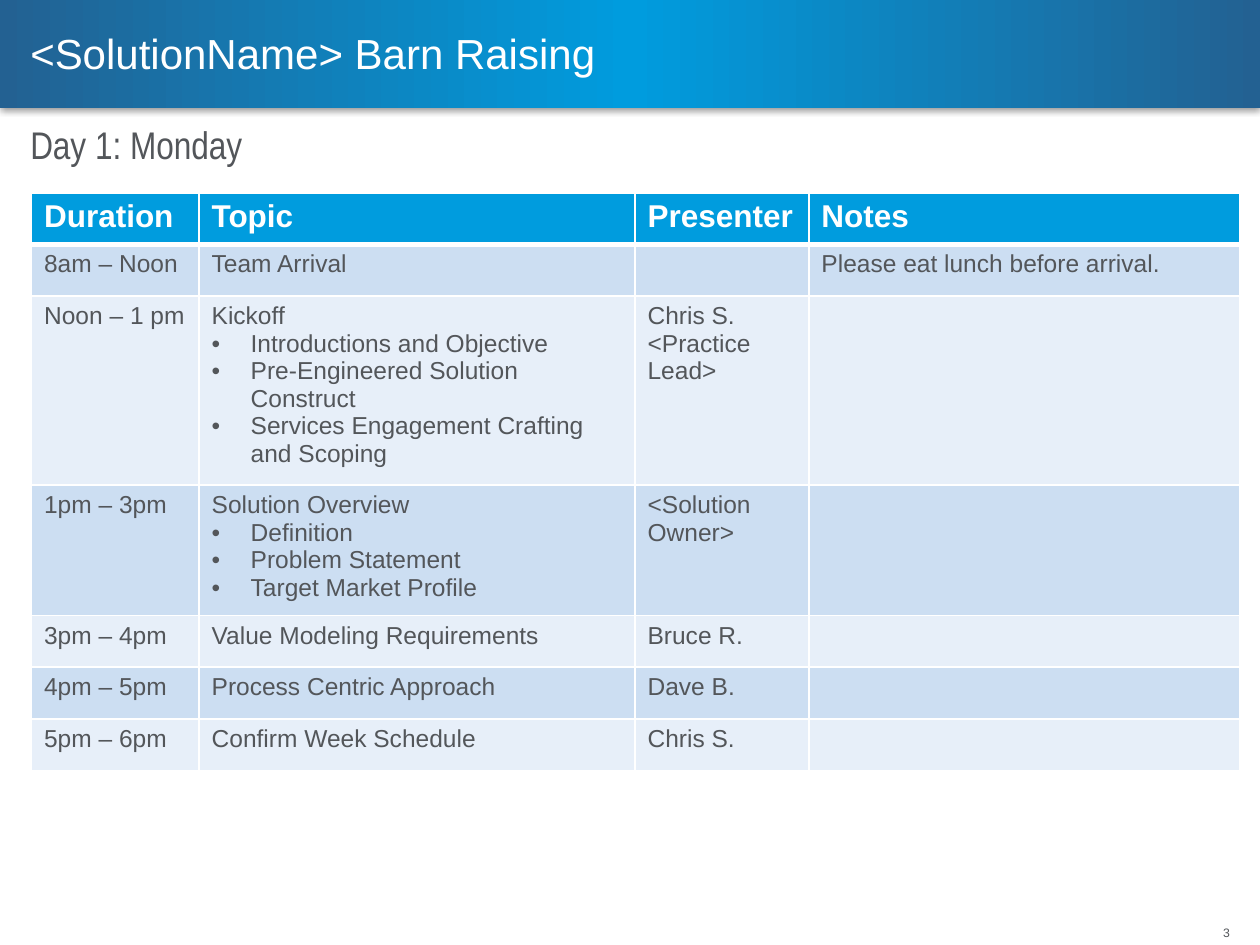
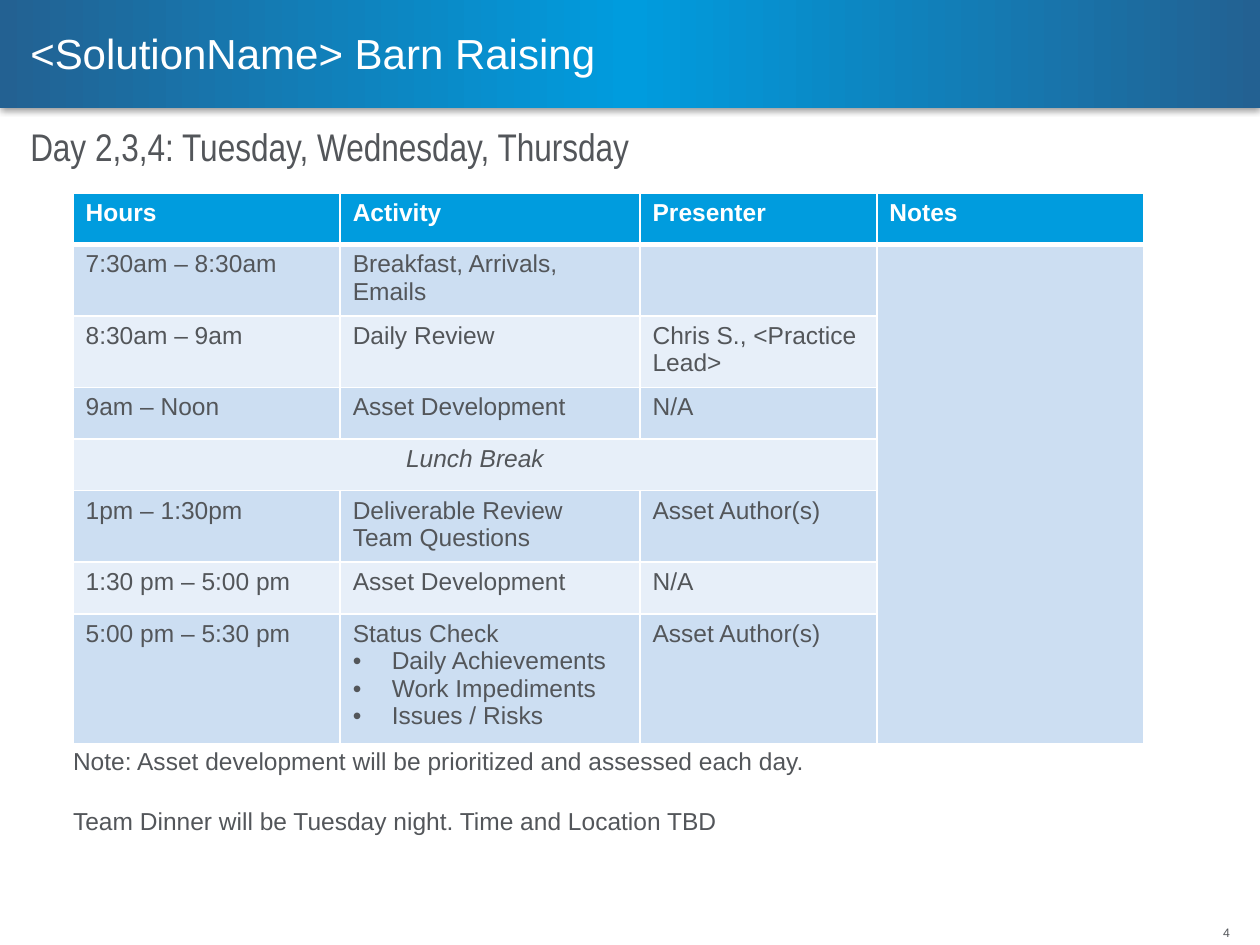
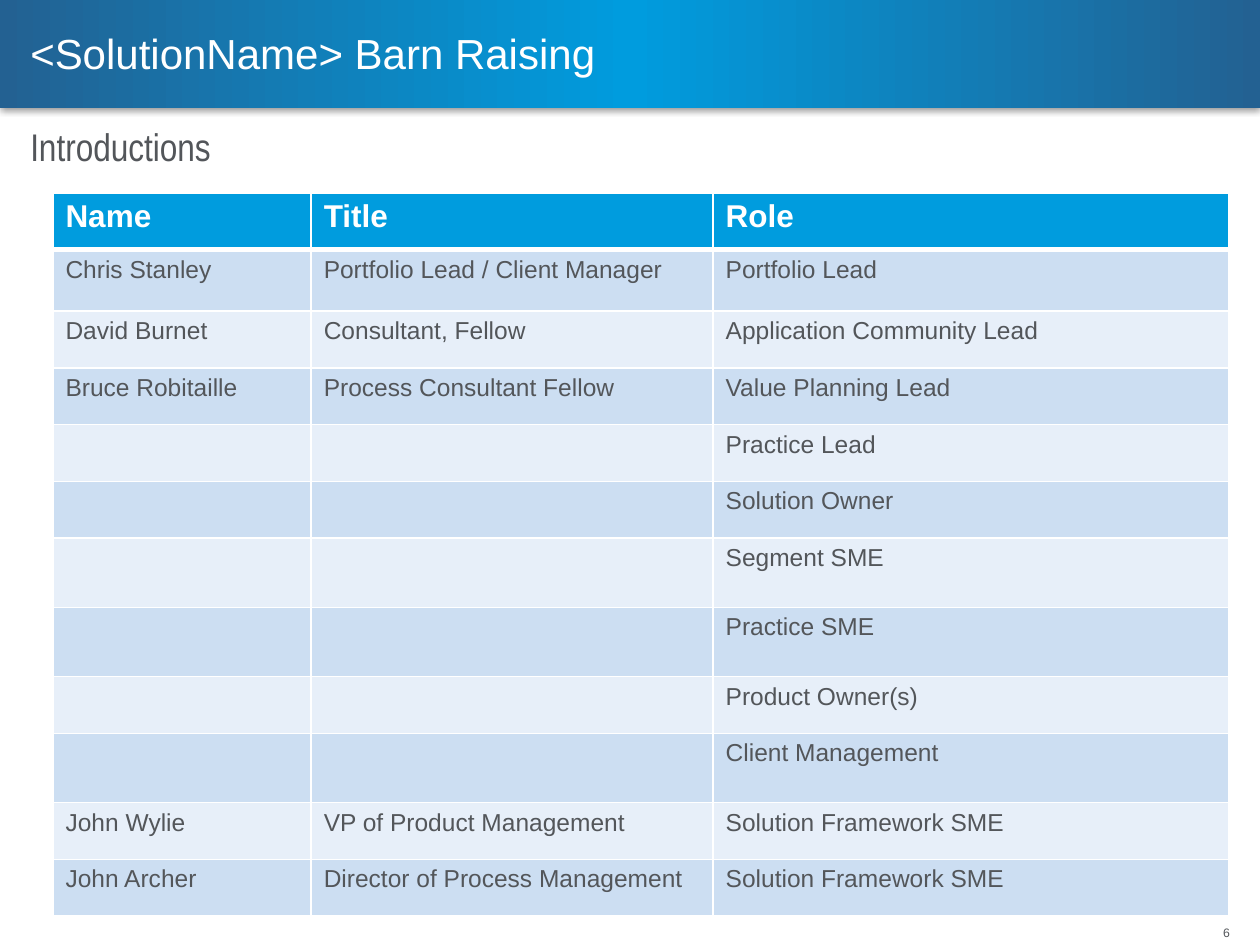
from lxml.etree import SubElement
from pptx import Presentation
from pptx.dml.color import RGBColor
from pptx.enum.shapes import MSO_SHAPE
from pptx.enum.text import MSO_ANCHOR, PP_ALIGN
from pptx.oxml import parse_xml
from pptx.oxml.ns import nsdecls, qn
from pptx.util import Inches, Pt

BLUE = "009CDE"
NAVY = "236192"
GRAY = "53565A"
WHITE = "FFFFFF"
BANDS = ("E7EFF9", "CCDEF2")
BULLET = "• "
BULLET_INDENT = 0.31
TITLE = "<SolutionName> Barn Raising"

SLIDES = [
    {
        "number": "3",
        "subtitle": "Day 1: Monday",
        "subtitle_top": 0.96,
        "left": 0.25,
        "header_size": 18,
        "columns": [1.33, 3.46, 1.38, 3.42],
        "heights": [0.41, 0.41, 1.41, 0.98, 0.41, 0.41, 0.41],
        "rows": [
            ("Duration", "Topic", "Presenter", "Notes"),
            ("8am – Noon", "Team Arrival", "", "Please eat lunch before arrival."),
            ("Noon – 1 pm",
             "Kickoff\n• Introductions and Objective\n• Pre-Engineered Solution Construct\n"
             "• Services Engagement Crafting and Scoping",
             "Chris S.\n<Practice Lead>", ""),
            ("1pm – 3pm",
             "Solution Overview\n• Definition\n• Problem Statement\n• Target Market Profile",
             "<Solution Owner>", ""),
            ("3pm – 4pm", "Value Modeling Requirements", "Bruce R.", ""),
            ("4pm – 5pm", "Process Centric Approach", "Dave B.", ""),
            ("5pm – 6pm", "Confirm Week Schedule", "Chris S.", ""),
        ],
    },
    {
        "number": "4",
        "subtitle": "Day 2,3,4: Tuesday, Wednesday, Thursday",
        "subtitle_top": 0.98,
        "left": 0.58,
        "header_size": 14,
        "columns": [2.12, 2.38, 1.88, 2.12],
        "heights": [0.41, 0.53, 0.53, 0.41, 0.41, 0.53, 0.41, 0.97],
        "rows": [
            ("Hours", "Activity", "Presenter", "Notes"),
            ("7:30am – 8:30am", "Breakfast, Arrivals, Emails", "", ""),
            ("8:30am – 9am", "Daily Review", "Chris S., <Practice Lead>", ""),
            ("9am – Noon", "Asset Development", "N/A", ""),
            ("Lunch Break", "", "", ""),
            ("1pm – 1:30pm", "Deliverable Review\nTeam Questions", "Asset Author(s)", ""),
            ("1:30 pm – 5:00 pm", "Asset Development", "N/A", ""),
            ("5:00 pm – 5:30 pm",
             "Status Check\n• Daily Achievements\n• Work Impediments\n• Issues / Risks",
             "Asset Author(s)", ""),
        ],
        "break_row": 4,
        "notes_column": 3,
        "remarks": "Note: Asset development will be prioritized and assessed each day.\n"
                   "Team Dinner will be Tuesday night. Time and Location TBD",
    },
    {
        "number": "6",
        "subtitle": "Introductions",
        "subtitle_top": 0.98,
        "left": 0.42,
        "header_size": 18,
        "columns": [2.05, 3.19, 4.09],
        "heights": [0.45, 0.49, 0.45, 0.45, 0.45, 0.45, 0.55, 0.55, 0.45, 0.55, 0.45, 0.45],
        "rows": [
            ("Name", "Title", "Role"),
            ("Chris Stanley", "Portfolio Lead / Client Manager", "Portfolio Lead"),
            ("David Burnet", "Consultant, Fellow", "Application Community Lead"),
            ("Bruce Robitaille", "Process Consultant Fellow", "Value Planning Lead"),
            ("", "", "Practice Lead"),
            ("", "", "Solution Owner"),
            ("", "", "Segment SME"),
            ("", "", "Practice SME"),
            ("", "", "Product Owner(s)"),
            ("", "", "Client Management"),
            ("John Wylie", "VP of Product Management", "Solution Framework SME"),
            ("John Archer", "Director of Process Management", "Solution Framework SME"),
        ],
    },
]


def color(value):
    return RGBColor.from_string(value)


def write(frame, text, size, ink=GRAY, font="Arial", bold=False, italic=False,
          align=PP_ALIGN.LEFT, gap=0):
    for index, line in enumerate(text.split("\n")):
        paragraph = frame.add_paragraph() if index else frame.paragraphs[0]
        paragraph.alignment = align
        if index and gap:
            paragraph.space_before = Pt(gap)
        if line.startswith(BULLET):
            properties = paragraph._p.get_or_add_pPr()
            properties.set("marL", str(Inches(BULLET_INDENT)))
            properties.set("indent", str(-Inches(BULLET_INDENT)))
            SubElement(properties, qn("a:buFont"), typeface="Arial")
            SubElement(properties, qn("a:buChar"), char=BULLET.strip())
        run = paragraph.add_run()
        run.text = line.removeprefix(BULLET)
        run.font.name = font
        run.font.size = Pt(size)
        run.font.bold = bold
        run.font.italic = italic
        run.font.color.rgb = color(ink)


def add_text(slide, box, text, size, anchor=MSO_ANCHOR.TOP, **style):
    frame = slide.shapes.add_textbox(*map(Inches, box)).text_frame
    frame.word_wrap = True
    frame.vertical_anchor = anchor
    frame.margin_left = frame.margin_right = frame.margin_top = frame.margin_bottom = 0
    write(frame, text, size, **style)


def add_band(slide):
    band = slide.shapes.add_shape(MSO_SHAPE.RECTANGLE, 0, 0, Inches(10), Inches(0.86))
    band.line.fill.background()
    stops = "".join(
        f'<a:gs pos="{position}"><a:srgbClr val="{value}"/></a:gs>'
        for position, value in ((0, NAVY), (50000, BLUE), (100000, NAVY)))
    properties = band._element.spPr
    properties.insert(2, parse_xml(
        f'<a:gradFill {nsdecls("a")} rotWithShape="1"><a:gsLst>{stops}</a:gsLst>'
        '<a:lin ang="0" scaled="0"/></a:gradFill>'))
    properties.append(parse_xml(
        f'<a:effectLst {nsdecls("a")}><a:outerShdw blurRad="{Pt(4)}" dist="{Pt(1)}" '
        'dir="5400000" algn="t" rotWithShape="0"><a:srgbClr val="000000">'
        '<a:alpha val="40000"/></a:srgbClr></a:outerShdw></a:effectLst>'))


def set_borders(cell, is_header):
    properties = cell._tc.get_or_add_tcPr()
    for index, side in enumerate("LRTB"):
        width = Pt(3 if is_header and side == "B" else 1)
        properties.insert(index, parse_xml(
            f'<a:ln{side} {nsdecls("a")} w="{width}"><a:solidFill>'
            f'<a:srgbClr val="{WHITE}"/></a:solidFill></a:ln{side}>'))


def add_schedule(slide, content):
    rows, columns, heights = content["rows"], content["columns"], content["heights"]
    table = slide.shapes.add_table(
        len(rows), len(columns), Inches(content["left"]), Inches(1.53),
        Inches(sum(columns)), Inches(sum(heights))).table
    table.horz_banding = False
    for column, width in zip(table.columns, columns):
        column.width = Inches(width)
    for row, height in zip(table.rows, heights):
        row.height = Inches(height)

    break_row = content.get("break_row")
    for row_index, row in enumerate(rows):
        is_header = row_index == 0
        is_break = row_index == break_row
        for column_index, text in enumerate(row):
            cell = table.cell(row_index, column_index)
            cell.fill.solid()
            cell.fill.fore_color.rgb = color(BLUE if is_header else BANDS[row_index % 2])
            set_borders(cell, is_header)
            if text:
                write(cell.text_frame, text, content["header_size"] if is_header else 14,
                      ink=WHITE if is_header else GRAY, bold=is_header, italic=is_break,
                      align=PP_ALIGN.CENTER if is_break else PP_ALIGN.LEFT)

    if break_row:
        notes = content["notes_column"]
        table.cell(break_row, 0).merge(table.cell(break_row, notes - 1))
        table.cell(1, notes).merge(table.cell(len(rows) - 1, notes))


def main():
    presentation = Presentation()
    presentation.slide_width = Inches(10)
    presentation.slide_height = Inches(7.5)
    for content in SLIDES:
        slide = presentation.slides.add_slide(presentation.slide_layouts[6])
        add_band(slide)
        add_text(slide, (9.27, 7.34, 0.49, 0.12), content["number"], 7, align=PP_ALIGN.RIGHT)
        add_text(slide, (0.24, 0.17, 8.32, 0.5), TITLE, 24, MSO_ANCHOR.MIDDLE, ink=WHITE)
        add_text(slide, (0.24, content["subtitle_top"], 9.51, 0.37), content["subtitle"], 22,
                 font="Arial Narrow")
        add_schedule(slide, content)
        if "remarks" in content:
            add_text(slide, (content["left"], 5.92, 8.33, 0.71), content["remarks"], 14, gap=17.5)
    presentation.save("out.pptx")


if __name__ == "__main__":
    main()
